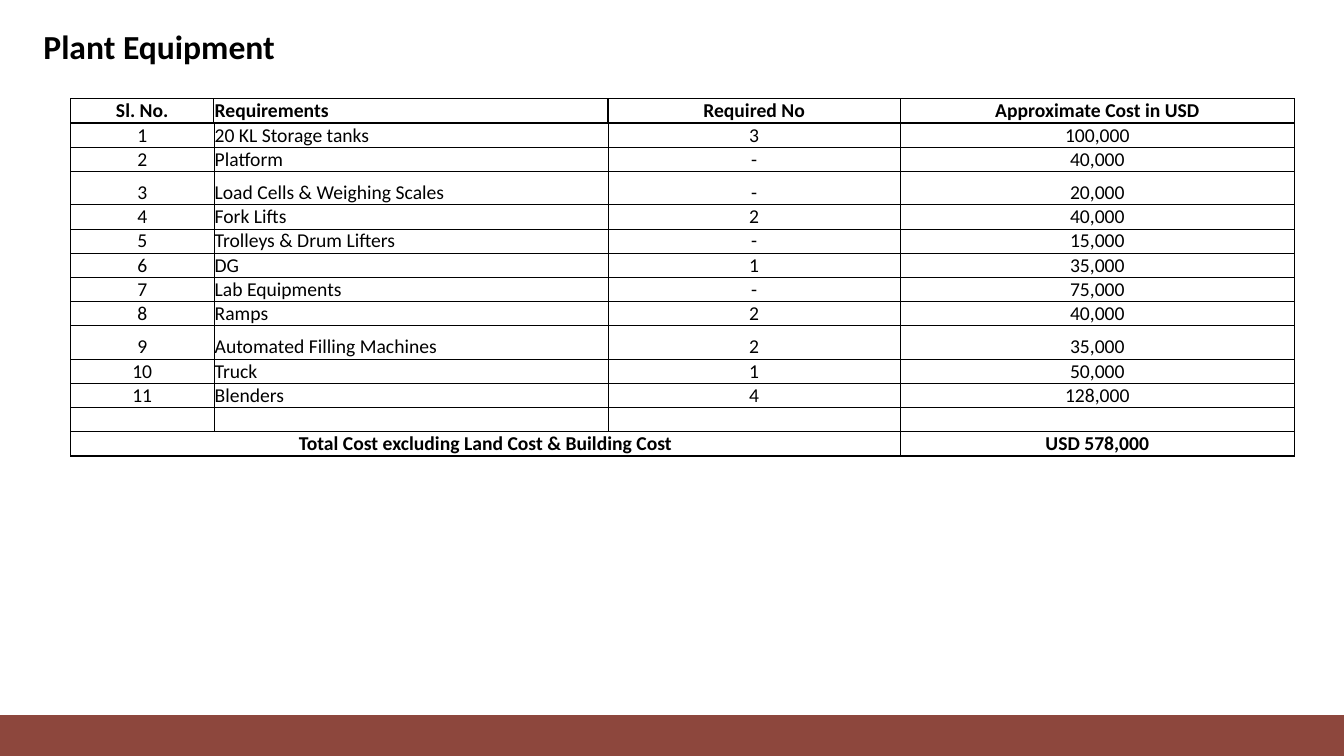
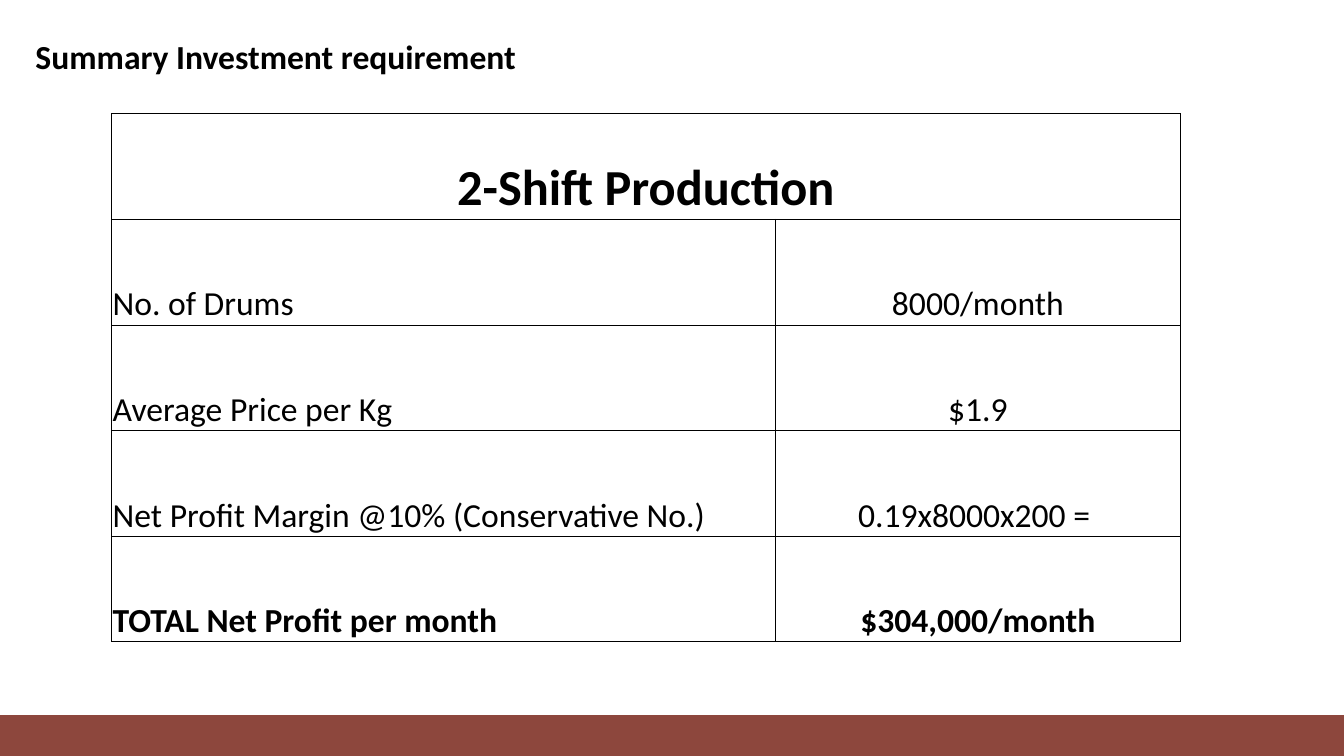
from lxml.etree import SubElement
from pptx import Presentation
from pptx.dml.color import RGBColor
from pptx.enum.shapes import MSO_SHAPE as Shape
from pptx.enum.text import MSO_ANCHOR as Anchor, MSO_AUTO_SIZE as AutoSize, PP_ALIGN as Align
from pptx.oxml.ns import qn
from pptx.util import Cm, Pt

COLORS = {"text": "000000", "border": "000000", "band": "7F3126"}
FONT = "Calibri"
THIN, THICK = 0.5, 1
TITLE_ONLY = 5

EQUIPMENT = [
    ["Sl. No.", "Requirements", "Required No", "Approximate Cost in USD"],
    ["1", "20 KL Storage tanks", "3", "100,000"],
    ["2", "Platform", "-", "40,000"],
    ["3", "Load Cells & Weighing Scales", "-", "20,000"],
    ["4", "Fork Lifts", "2", "40,000"],
    ["5", "Trolleys & Drum Lifters", "-", "15,000"],
    ["6", "DG", "1", "35,000"],
    ["7", "Lab Equipments", "-", "75,000"],
    ["8", "Ramps", "2", "40,000"],
    ["9", "Automated Filling Machines", "2", "35,000"],
    ["10", "Truck", "1", "50,000"],
    ["11", "Blenders", "4", "128,000"],
    ["", "", "", ""],
    ["Total Cost excluding Land Cost & Building Cost", "", "", "USD 578,000"],
]
PRODUCTION = [
    ["2-Shift Production", ""],
    ["No. of Drums", "8000/month"],
    ["Average Price per Kg", "$1.9"],
    ["Net Profit Margin @10% (Conservative No.)", "0.19x8000x200 = "],
    ["TOTAL Net Profit per month", "$304,000/month"],
]
PAGES = [
    {
        "title": "Plant Equipment", "title_box": (0.84, 0.53, 15.57, 1.28), "line_spacing": 1,
        "rows": EQUIPMENT, "table_at": (1.78, 2.49), "widths": [3.61, 9.93, 7.37, 9.93],
        "heights": [0.84 if number in (3, 9) else 0.61 for number in range(len(EQUIPMENT))],
        "merge": (13, 0, 2), "left_column": 1, "header_size": 14, "body_size": 14,
    },
    {
        "title": "Summary Investment requirement", "title_box": (0.64, 0.64, 13.77, 1.68),
        "line_spacing": 0.9,
        "rows": PRODUCTION, "table_at": (2.82, 2.87), "widths": [16.73, 10.19],
        "heights": [2.66] * len(PRODUCTION),
        "merge": (0, 0, 1), "left_column": 0, "header_size": 36, "body_size": 24,
    },
]


def style_font(font, size, bold):
    font.name = FONT
    font.size = Pt(size)
    font.bold = bold
    font.color.rgb = RGBColor.from_string(COLORS["text"])


def add_border(cell, side, width):
    line = SubElement(cell._tc.get_or_add_tcPr(), qn(f"a:ln{side}"), w=str(Pt(width)))
    fill = SubElement(line, qn("a:solidFill"))
    SubElement(fill, qn("a:srgbClr"), val=COLORS["border"])


deck = Presentation()
deck.slide_width, deck.slide_height = Cm(33.87), Cm(19.05)

for content in PAGES:
    page = deck.slides.add_slide(deck.slide_layouts[TITLE_ONLY])

    title = page.shapes.title
    title.left, title.top, title.width, title.height = map(Cm, content["title_box"])
    frame = title.text_frame
    frame.text = content["title"]
    frame.auto_size = AutoSize.NONE
    frame.vertical_anchor = Anchor.MIDDLE
    para = frame.paragraphs[0]
    para.alignment = Align.LEFT
    para.line_spacing = content["line_spacing"]
    style_font(para.runs[0].font, 24, True)

    band = page.shapes.add_shape(Shape.RECTANGLE, 0, Cm(18.02), deck.slide_width, Cm(1.03))
    band.shadow.inherit = False
    band.line.fill.background()
    band.fill.solid()
    band.fill.fore_color.rgb = RGBColor.from_string(COLORS["band"])
    band_color = band.fill._xPr.find(qn("a:solidFill")).find(qn("a:srgbClr"))
    SubElement(band_color, qn("a:alpha"), val="89000")

    rows, widths, heights = content["rows"], content["widths"], content["heights"]
    left, top = content["table_at"]
    table = page.shapes.add_table(
        len(rows), len(widths), Cm(left), Cm(top), Cm(sum(widths)), Cm(sum(heights))
    ).table
    table.first_row = table.horz_banding = False
    for column, width in zip(table.columns, widths):
        column.width = Cm(width)
    for row, height in zip(table.rows, heights):
        row.height = Cm(height)
    merge_row, merge_start, merge_end = content["merge"]
    table.cell(merge_row, merge_start).merge(table.cell(merge_row, merge_end))

    last_row, last_column = len(rows) - 1, len(widths) - 1
    for row_number, texts in enumerate(rows):
        is_header = row_number == 0
        size = content["header_size"] if is_header else content["body_size"]
        for column_number, text in enumerate(texts):
            cell = table.cell(row_number, column_number)
            thick_sides = {
                "L": is_header or column_number == 0,
                "R": is_header or column_number == last_column,
                "T": row_number <= 1,
                "B": is_header or row_number == last_row,
            }
            for side, is_thick in thick_sides.items():
                add_border(cell, side, THICK if is_thick else THIN)
            cell.fill.background()
            cell.vertical_anchor = Anchor.BOTTOM
            cell.margin_left = cell.margin_right = Cm(0.02)
            cell.margin_top = cell.margin_bottom = 0

            para = cell.text_frame.paragraphs[0]
            is_left = column_number == content["left_column"] and not cell.is_merge_origin
            para.alignment = Align.LEFT if is_left else Align.CENTER
            if text:
                para.text = text
                style_font(para.runs[0].font, size, row_number in (0, last_row))
            else:
                SubElement(para._p, qn("a:endParaRPr"), sz=str(size * 100))

deck.save("out.pptx")
